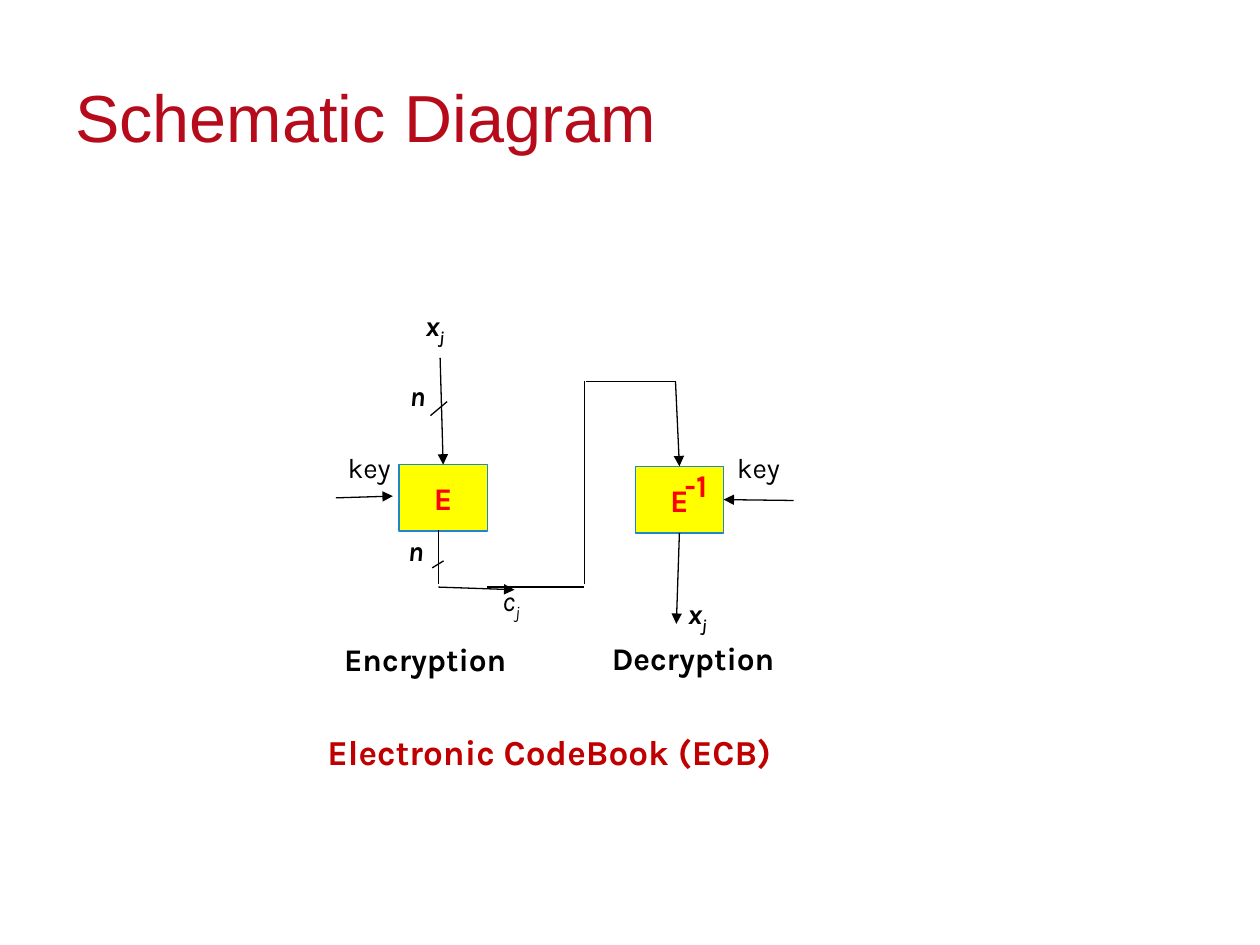
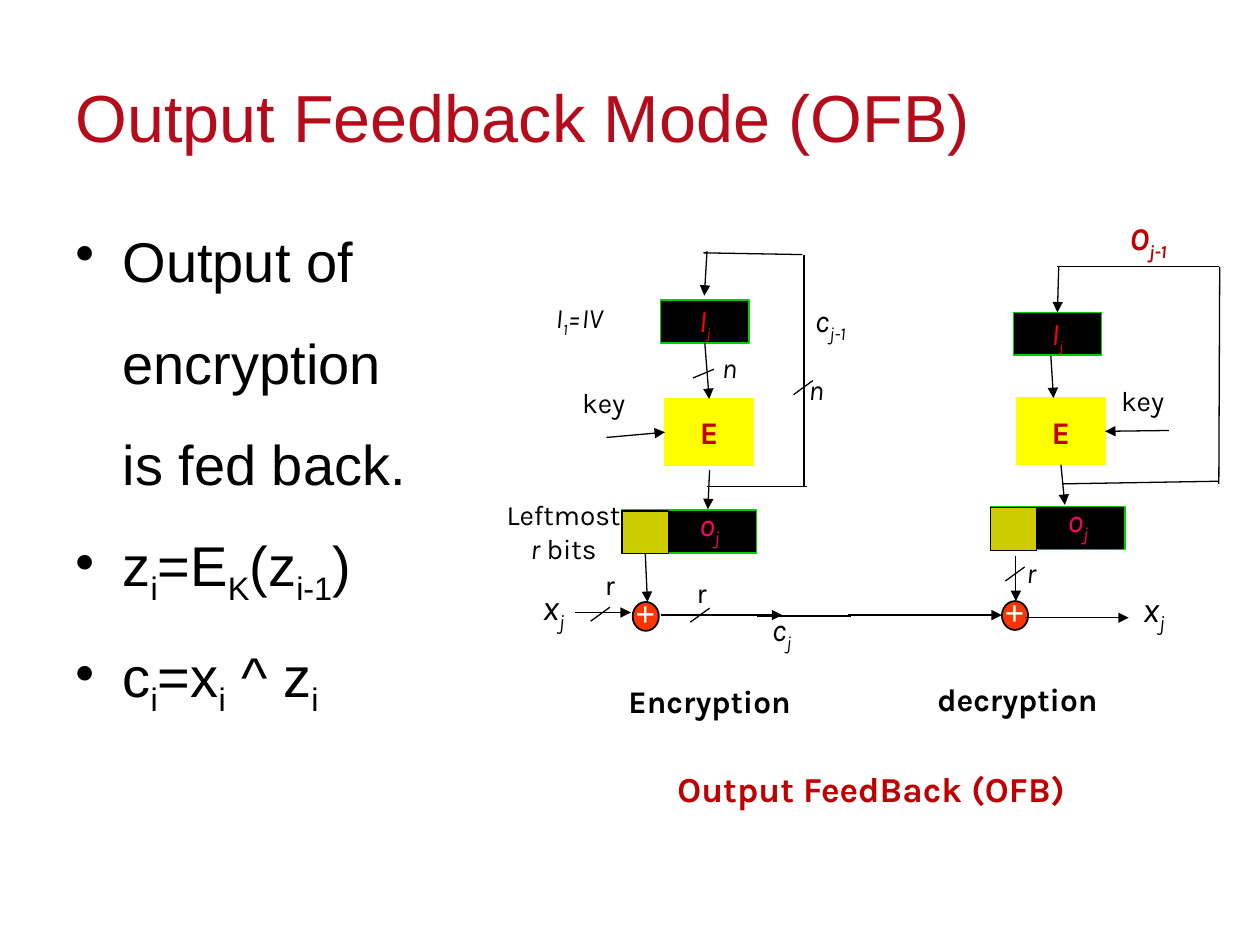
"""Build two slides on block cipher modes: an ECB schematic and output feedback."""
import math
from dataclasses import dataclass, replace

import lxml.etree
import pptx
import pptx.dml.color
import pptx.enum.shapes
import pptx.enum.text
import pptx.oxml.ns
import pptx.shapes.autoshape
import pptx.slide
import pptx.text.text
import pptx.util

COLORS = {
    "title": "B50B1B",
    "ink": "000000",
    "caption": "C00000",
    "red": "FF0000",
    "pink": "FF0066",
    "white": "FFFFFF",
    "yellow": "FFFF00",
    "blue": "1D86CD",
    "green": "00CC00",
    "olive": "CCCC00",
    "orange": "FF3300",
}
CIPHER_SIZE = (50.5, 38)
REGISTER_SIZE = (50.5, 24.5)
JOIN_DISTANCE = 2.5


@dataclass(frozen=True)
class Style:
    size: float = 16
    color: str = "ink"
    bold: bool = False
    italic: bool = False
    font: str = "Karla"
    accent: str = "subscript"
    accent_size: float | None = None
    centered: bool = False


@dataclass(frozen=True)
class Label:
    text: str
    left: float
    top: float
    width: float
    style: Style


@dataclass(frozen=True)
class Box:
    left: float
    top: float
    width: float
    height: float
    fill: str
    line: str
    text: str = ""
    style: Style = Style()
    weight: float = 0.75
    oval: bool = False


@dataclass(frozen=True)
class Line:
    x1: float
    y1: float
    x2: float
    y2: float
    arrow: bool = False


PLAIN = Style()
ITALIC = Style(italic=True)
STRONG = Style(bold=True, italic=True)
VARIABLE = Style(18, italic=True)
STREAM = Style(20, italic=True)
STAGE = Style(18, bold=True)
CAPTION = Style(20, "caption", bold=True)
CIPHER = Style(18, "red", bold=True)
REGISTER = Style(18, "red", italic=True, accent_size=14)
OUTPUT = Style(18, "pink", italic=True)
PLUS = Style(20, "white", bold=True, font="Times New Roman")
TITLE = Style(38, "title", font="Arial")
BODY = Style(32, font="Arial")


def rgb(name: str) -> pptx.dml.color.RGBColor:
    return pptx.dml.color.RGBColor.from_string(COLORS[name])


def write(para: pptx.text.text._Paragraph, text: str, style: Style) -> None:
    font = para.font
    font.size = pptx.util.Pt(style.size)
    font.name = style.font
    font.bold = style.bold
    font.italic = style.italic
    font.color.rgb = rgb(style.color)
    if style.centered:
        para.alignment = pptx.enum.text.PP_ALIGN.CENTER
    for index, part in enumerate(text.split("_")):
        if not part:
            continue
        span = para.add_run()
        span.text = part
        if index % 2 and style.accent == "italic":
            span.font.italic = True
        elif index % 2:
            span._r.get_or_add_rPr().set("baseline", "-25000")
            if style.accent_size:
                span.font.size = pptx.util.Pt(style.accent_size)


def add_frame(page: pptx.slide.Slide, left: float, top: float,
              width: float, height: float) -> pptx.text.text.TextFrame:
    frame = page.shapes.add_textbox(*map(pptx.util.Pt, (left, top, width, height))).text_frame
    frame.word_wrap = True
    return frame


def add_label(page: pptx.slide.Slide, label: Label) -> None:
    height = label.style.size * 1.2 + 7.2
    frame = add_frame(page, label.left, label.top, label.width, height)
    write(frame.paragraphs[0], label.text, label.style)


def add_box(page: pptx.slide.Slide, box: Box) -> pptx.shapes.autoshape.Shape:
    kinds = pptx.enum.shapes.MSO_SHAPE
    shape = page.shapes.add_shape(
        kinds.OVAL if box.oval else kinds.RECTANGLE,
        *map(pptx.util.Pt, (box.left, box.top, box.width, box.height)))
    shape.shadow.inherit = False
    shape.fill.solid()
    shape.fill.fore_color.rgb = rgb(box.fill)
    shape.line.color.rgb = rgb(box.line)
    shape.line.width = pptx.util.Pt(box.weight)
    if box.text:
        frame = shape.text_frame
        frame.word_wrap = False
        frame.vertical_anchor = pptx.enum.text.MSO_ANCHOR.MIDDLE
        write(frame.paragraphs[0], box.text, replace(box.style, centered=True))
    return shape


def side_middles(box: Box) -> list[tuple[float, float]]:
    center_x, center_y = box.left + box.width / 2, box.top + box.height / 2
    return [(center_x, box.top), (box.left, center_y),
            (center_x, box.top + box.height), (box.left + box.width, center_y)]


def add_line(page: pptx.slide.Slide, line: Line,
             drawn: list[tuple[Box, pptx.shapes.autoshape.Shape]]) -> None:
    connector = page.shapes.add_connector(
        pptx.enum.shapes.MSO_CONNECTOR.STRAIGHT,
        *map(pptx.util.Pt, (line.x1, line.y1, line.x2, line.y2)))
    connector.line.color.rgb = rgb("ink")
    connector.line.width = pptx.util.Pt(0.75)
    qn = pptx.oxml.ns.qn
    if line.arrow:
        tail = lxml.etree.SubElement(connector.line._get_or_add_ln(), qn("a:tailEnd"))
        tail.set("type", "triangle")
    lxml.etree.SubElement(connector._element.spPr, qn("a:effectLst"))
    for box, shape in drawn:
        if box.oval:
            continue
        for site, middle in enumerate(side_middles(box)):
            if math.dist(middle, (line.x1, line.y1)) < JOIN_DISTANCE:
                connector.begin_connect(shape, site)
            if math.dist(middle, (line.x2, line.y2)) < JOIN_DISTANCE:
                connector.end_connect(shape, site)


def add_diagram(page: pptx.slide.Slide, boxes: list[Box], lines: list[Line],
                labels: list[Label]) -> None:
    drawn = [(box, add_box(page, box)) for box in boxes]
    for line in lines:
        add_line(page, line, drawn)
    for label in labels:
        add_label(page, label)


def add_page(deck: pptx.presentation.Presentation, title: str) -> pptx.slide.Slide:
    page = deck.slides.add_slide(deck.slide_layouts[6])
    frame = add_frame(page, 36, 21.5, 648, 90)
    frame.vertical_anchor = pptx.enum.text.MSO_ANCHOR.MIDDLE
    write(frame.paragraphs[0], title, TITLE)
    return page


def add_body(page: pptx.slide.Slide, rows: list[tuple[str, bool]]) -> None:
    frame = add_frame(page, 36, 126, 648, 356.5)
    for index, (text, bulleted) in enumerate(rows):
        para = frame.add_paragraph() if index else frame.paragraphs[0]
        para.space_before = pptx.util.Pt(7.5 if index else 0)
        para.space_after = pptx.util.Pt(12)
        properties = para._p.get_or_add_pPr()
        indent = pptx.util.Pt(27)
        properties.set("marL", str(indent))
        properties.set("indent", str(-indent if bulleted else 0))
        if bulleted:
            bullet = lxml.etree.SubElement(properties, pptx.oxml.ns.qn("a:buChar"))
            bullet.set("char", "•")
        write(para, text, BODY)


def cipher(left: float, top: float, line: str, color: str) -> Box:
    return Box(left, top, *CIPHER_SIZE, "yellow", line, "E", replace(CIPHER, color=color))


def input_register(left: float, top: float) -> Box:
    return Box(left, top, *REGISTER_SIZE, "ink", "green", "I_j", REGISTER)


def output_register(left: float, top: float) -> list[Box]:
    return [Box(left, top, 77, 24.5, "ink", "green"),
            Box(left, top + 0.5, 26.5, 24.5, "olive", "ink")]


def xor_node(left: float, top: float) -> Box:
    return Box(left, top, 15, 16.5, "orange", "ink", weight=1, oval=True)


def build_codebook(deck: pptx.presentation.Presentation) -> None:
    page = add_page(deck, "Schematic Diagram")
    boxes = [cipher(228, 265.5, "blue", "red"), cipher(363, 266.5, "blue", "red")]
    lines = [
        Line(192, 284.5, 224.5, 283.5, True), Line(251.5, 204.5, 251.5, 265, True),
        Line(250.5, 303, 250.5, 334), Line(250.5, 335.5, 294, 337, True),
        Line(278.5, 335.5, 333.5, 335.5), Line(334, 334, 334, 218),
        Line(335, 218, 386.5, 218), Line(386, 218, 386.5, 265, True),
        Line(387.5, 306, 386.5, 356.5, True), Line(453.5, 286, 415.5, 286, True),
        Line(255.5, 229.5, 246, 237.5), Line(253.5, 320.5, 247, 324.5),
    ]
    labels = [
        Label("x_j", 236, 173, 31, STRONG), Label("n", 227, 213, 28, STRONG),
        Label("key", 191.5, 254, 54, PLAIN), Label("n", 226, 301.5, 28, STRONG),
        Label("c_j", 280, 330, 31, ITALIC), Label("-1", 384, 263, 36, CIPHER),
        Label("key", 414, 254, 47.5, PLAIN), Label("x_j", 386, 337.5, 31, STRONG),
        Label("Encryption", 189.5, 362, 121, STAGE),
        Label("Decryption", 342.5, 361.5, 120, STAGE),
        Label("Electronic CodeBook (ECB)", 180, 414, 341, CAPTION),
    ]
    add_diagram(page, boxes, lines, labels)


def build_feedback(deck: pptx.presentation.Presentation) -> None:
    page = add_page(deck, "Output Feedback Mode (OFB)")
    add_body(page, [("Output of", True), ("encryption", False), ("is fed back.", False),
                    ("z_i_=E_K_(z_i-1_)", True), ("c_i_=x_i_ ^ z_i", True)])
    registers = [(355.5, 291.5), (566, 289.5)]
    xors = [(361.5, 344), (572.5, 343.5)]
    boxes = [cipher(380, 228, "yellow", "caption"), cipher(581, 227.5, "yellow", "caption"),
             input_register(377.5, 171.5), input_register(579, 178.5)]
    for corner in registers:
        boxes += output_register(*corner)
    boxes += [xor_node(*corner) for corner in xors]
    lines = [
        Line(346.5, 250, 378.5, 248.5, True), Line(403, 194.5, 403, 227.5, True),
        Line(404, 143.5, 402.5, 169, True), Line(405.5, 268.5, 404.5, 291, True),
        Line(458.5, 145.5, 402, 144.5), Line(459.5, 278, 459.5, 145.5),
        Line(461, 278, 404, 278), Line(370, 318, 370, 344, True),
        Line(328.5, 350, 360.5, 350, True), Line(377.5, 351.5, 447, 351.5, True),
        Line(432.5, 352, 486.5, 352), Line(484.5, 351.5, 572.5, 351.5, True),
        Line(605, 152, 603.5, 178.5, True), Line(600.5, 203.5, 602, 227.5, True),
        Line(668, 246, 631.5, 246, True), Line(607.5, 265, 608.5, 288.5, True),
        Line(696.5, 152.5, 604, 152.5), Line(696.5, 276.5, 697, 152.5),
        Line(696.5, 275, 607, 276.5), Line(580.5, 317.5, 580.5, 343.5, True),
        Line(585.5, 353, 645, 353, True), Line(408, 211, 396, 216),
    ]
    slashes = [(337.5, 355), (394.5, 355.5), (453.5, 225.5), (574.5, 332)]
    lines += [Line(x, y, x + 11, y - 8) for x, y in slashes]
    labels = [
        Label("I_1_=IV", 310.5, 168, 69, ITALIC), Label("key", 325.5, 216.5, 54, PLAIN),
        Label("n", 405.5, 196.5, 28, ITALIC), Label("n", 455, 209.5, 28, ITALIC),
        Label("c_j-1", 458.5, 168.5, 46, VARIABLE),
        Label("Leftmost _r_ bits", 281, 281, 82, Style(accent="italic", centered=True)),
        Label("r", 338.5, 321, 28, PLAIN), Label("r", 391, 325.5, 28, PLAIN),
        Label("x_j", 303, 331, 32.5, STREAM), Label("c_j", 434, 345, 31, VARIABLE),
        Label("O_j-1", 638.5, 121.5, 52.5, Style(18, "caption", True, True)),
        Label("key", 633.5, 215.5, 54, PLAIN), Label("r", 579.5, 314, 28, ITALIC),
        Label("x_j", 646, 332, 32.5, STREAM),
        Label("Encryption", 352, 386, 121, STAGE),
        Label("decryption", 528.5, 385, 137.5, STAGE),
        Label("Output FeedBack (OFB)", 380, 435, 263, CAPTION),
    ]
    labels += [Label("o_j", x + 37, y - 6.5, 28, OUTPUT) for x, y in registers]
    labels += [Label("+", x - 5.5, y - 9.5, 28, PLUS) for x, y in xors]
    add_diagram(page, boxes, lines, labels)


def main() -> None:
    deck = pptx.Presentation()
    deck.slide_width, deck.slide_height = pptx.util.Pt(720), pptx.util.Pt(540)
    build_codebook(deck)
    build_feedback(deck)
    deck.save("out.pptx")


if __name__ == "__main__":
    main()
